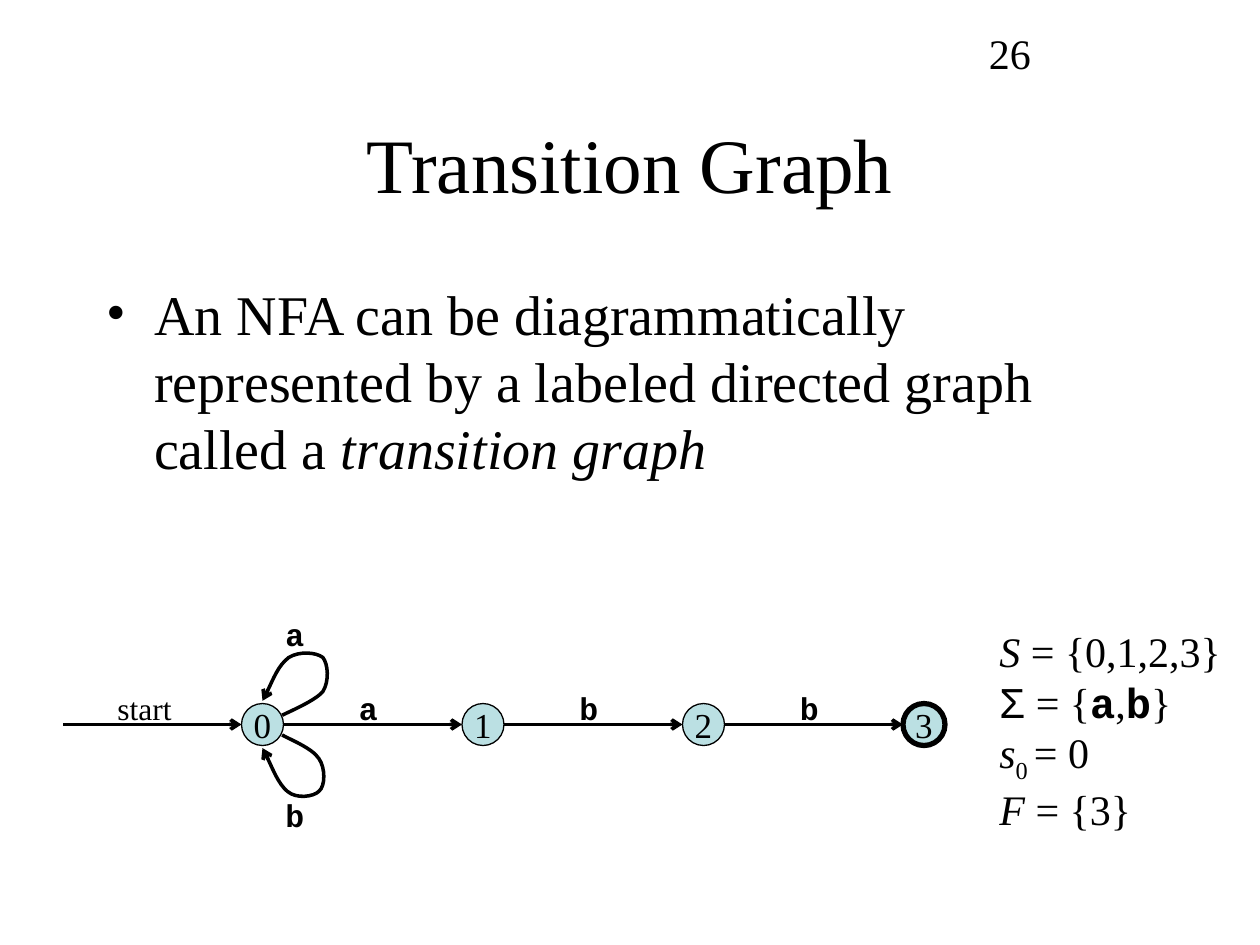
import pptx
import pptx.dml.color
import pptx.enum.shapes
import pptx.enum.text
import pptx.oxml
import pptx.oxml.ns
import pptx.util

RGB = pptx.dml.color.RGBColor
ALIGN = pptx.enum.text.PP_ALIGN
ANCHOR = pptx.enum.text.MSO_ANCHOR
AUTO_SIZE = pptx.enum.text.MSO_AUTO_SIZE
qn = pptx.oxml.ns.qn

BLACK = RGB(0x00, 0x00, 0x00)
NODE_FILL = RGB(0xBB, 0xE0, 0xE3)
SERIF, SANS, MONO = "Times New Roman", "Arial", "Courier New"

ITALIC = {"italic": True}
CODE = {"font": MONO, "bold": True}

NODE = 32
STEP = 168
FIRST_NODE_X = 184
AXIS_Y = 552


def px(n):
    return pptx.util.Emu(n * 9525)


def sub_element(parent, tag, **attrs):
    child = pptx.oxml.parse_xml(f"<{tag} {pptx.oxml.ns.nsdecls('a')}/>")
    for name, value in attrs.items():
        child.set(name, value)
    parent.append(child)
    return child


class SlideBuilder:
    def __init__(self, slide):
        self.slide = slide
        self.shapes = slide.shapes

    def fill_frame(self, tf, runs, size, align=ALIGN.LEFT):
        """Write (text, style) runs into the first paragraph; None is a line break."""
        p = tf.paragraphs[0]
        p.alignment = align
        for run in runs:
            if run is None:
                p.add_line_break()
                continue
            text, style = run
            r = p.add_run()
            r.text = text
            r.font.size = pptx.util.Pt(size)
            r.font.name = style.get("font", SERIF)
            r.font.bold = style.get("bold", False)
            r.font.italic = style.get("italic", False)
            r.font.color.rgb = BLACK
            if "baseline" in style:
                r.font._element.set("baseline", style["baseline"])
        return p

    def text(self, x, y, w, h, runs, size, wrap=False, align=ALIGN.LEFT,
             anchor=ANCHOR.TOP):
        tf = self.shapes.add_textbox(px(x), px(y), px(w), px(h)).text_frame
        tf.word_wrap = wrap
        if not wrap:
            tf.auto_size = AUTO_SIZE.SHAPE_TO_FIT_TEXT
        tf.vertical_anchor = anchor
        return self.fill_frame(tf, runs, size, align)

    def bullet(self, x, y, w, h, runs, size, indent):
        p = self.text(x, y, w, h, runs, size, wrap=True)
        pPr = p._p.get_or_add_pPr()
        pPr.set("marL", str(px(indent)))
        pPr.set("indent", str(px(-indent)))
        sub_element(pPr, "a:buFont", typeface=SERIF)
        sub_element(pPr, "a:buChar", char="•")

    def label(self, x, y, w, text, style):
        self.text(x, y, w, 38, [(text, style)], 18)

    def node(self, x, text, width):
        s = self.shapes.add_shape(pptx.enum.shapes.MSO_SHAPE.OVAL, px(x),
                                  px(AXIS_Y - NODE // 2), px(NODE), px(NODE))
        s.shadow.inherit = False
        s.fill.solid()
        s.fill.fore_color.rgb = NODE_FILL
        s.line.color.rgb = BLACK
        s.line.width = pptx.util.Pt(width)
        tf = s.text_frame
        tf.word_wrap = False
        tf.vertical_anchor = ANCHOR.MIDDLE
        self.fill_frame(tf, [(text, {})], 20, ALIGN.CENTER)

    def arrow_line(self, s):
        s.line.color.rgb = BLACK
        s.line.width = pptx.util.Pt(2)
        sub_element(s.line._get_or_add_ln(), "a:tailEnd", type="arrow")

    def arrow(self, x1, x2):
        s = self.shapes.add_connector(pptx.enum.shapes.MSO_CONNECTOR.STRAIGHT,
                                      px(x1), px(AXIS_Y), px(x2), px(AXIS_Y))
        self.arrow_line(s)
        sub_element(s._element.spPr, "a:effectLst")

    def curve(self, start, points):
        """Draw an open Bezier arrow; every three points make one segment."""
        builder = self.shapes.build_freeform(*start, scale=px(1))
        builder.add_line_segments(points, close=False)
        s = builder.convert_to_shape()
        path = s._element.find(".//" + qn("a:path"))
        lines = path.findall(qn("a:lnTo"))
        for i in range(0, len(lines), 3):
            segment = sub_element(path, "a:cubicBezTo")
            for line in lines[i:i + 3]:
                segment.append(line[0])
                path.remove(line)
        s.shadow.inherit = False
        s.fill.background()
        self.arrow_line(s)


def main():
    prs = pptx.Presentation()
    prs.slide_width, prs.slide_height = px(960), px(720)
    b = SlideBuilder(prs.slides.add_slide(prs.slide_layouts[6]))

    b.text(72, 64, 816, 120, [("Transition Graph", {})], 44, wrap=True,
           align=ALIGN.CENTER, anchor=ANCHOR.MIDDLE)
    b.bullet(72, 208, 816, 432, [
        ("An NFA can be diagrammatically represented by a labeled directed "
         "graph called a ", {}),
        ("transition graph", ITALIC)], 32, indent=36)

    b.arrow(48, FIRST_NODE_X)
    b.label(80, 520, 64, "start", {})
    for i in range(4):
        x = FIRST_NODE_X + i * STEP
        b.node(x, str(i), 3 if i == 3 else 0.75)
        if i < 3:
            b.arrow(x + NODE, x + STEP)
            b.label(x + 80, 520, 34, "abb"[i], CODE)

    b.curve((215, 545), [
        (221, 542), (240, 534), (246, 527), (251, 519), (250, 506), (246, 501),
        (241, 497), (228, 496), (220, 501), (212, 507), (204, 527), (200, 534)])
    b.label(208, 464, 34, "a", CODE)
    b.curve((215, 560), [
        (220, 563), (238, 570), (243, 578), (248, 585), (248, 599), (243, 603),
        (239, 607), (226, 609), (219, 603), (212, 597), (204, 577), (200, 570)])
    b.label(208, 602, 34, "b", CODE)

    b.text(752, 472, 188, 169, [
        ("S ", ITALIC), ("= {0,1,2,3}", {}), None,
        ("Σ", {"font": SANS}), (" = {", {}), ("a", CODE), (",", {}),
        ("b", CODE), ("}", {}), None,
        ("s", ITALIC), ("0 ", {"baseline": "-25000"}), ("= 0", {}), None,
        ("F ", ITALIC), ("= {3}", {})], 24)
    b.text(744, 16, 200, 48, [("26", {})], 24, wrap=True)

    prs.save("out.pptx")


if __name__ == "__main__":
    main()
